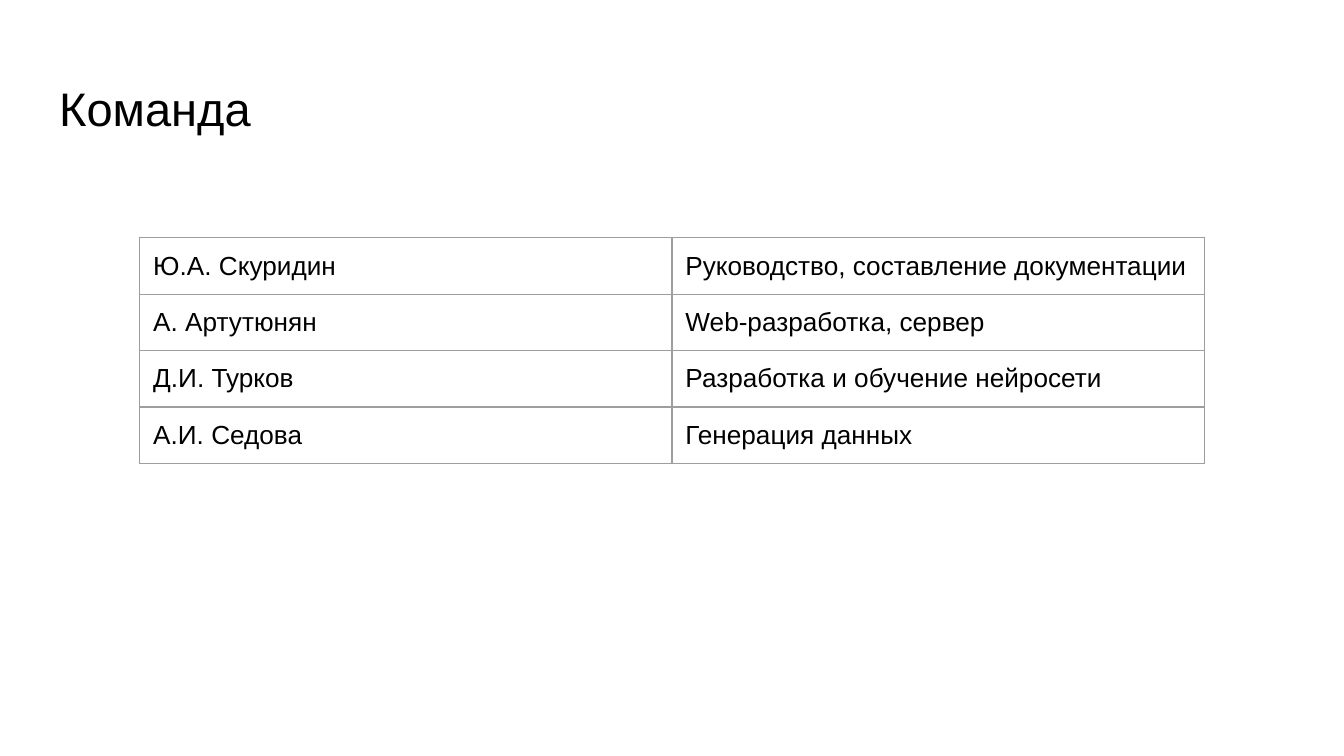
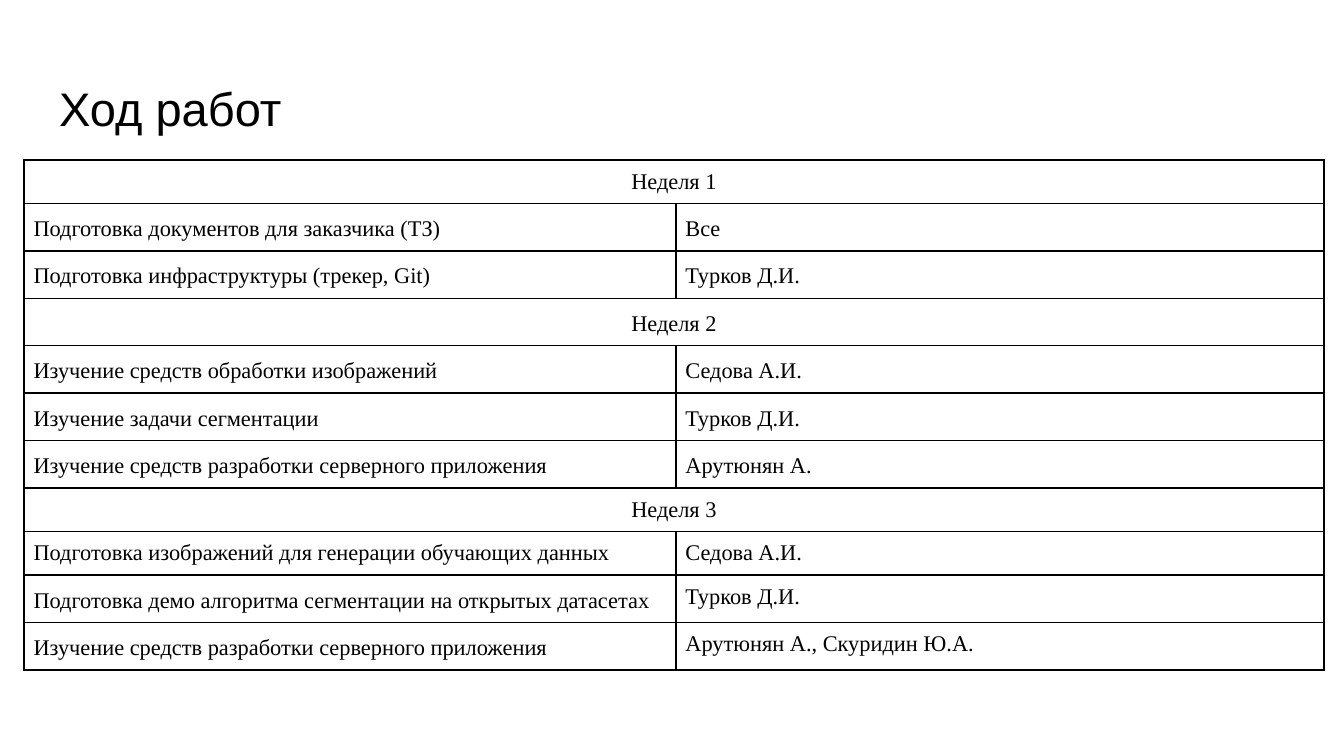
from lxml import etree
from pptx import Presentation
from pptx.dml.color import RGBColor
from pptx.enum.text import MSO_ANCHOR, MSO_AUTO_SIZE, PP_ALIGN
from pptx.oxml.ns import qn
from pptx.util import Inches, Pt

SLIDE_WIDTH = 10
SLIDE_HEIGHT = SLIDE_WIDTH * 9 / 16
BLACK, GREY = "000000", "9E9E9E"
SANS, SERIF = "Arial", "Times New Roman"
TITLE_BOX = (0.34, 0.49, 9.32, 0.63)

TEAM = [
    ("Ю.А. Скуридин", "Руководство, составление документации"),
    ("А. Артутюнян", "Web-разработка, сервер"),
    ("Д.И. Турков", "Разработка и обучение нейросети"),
    ("А.И. Седова", "Генерация данных"),
]

# Each row: its cells (a single cell spans the table) and their line spacings
SINGLE, LOOSE = 1.0, 1.15
PLAN = [
    (("Неделя 1",), (SINGLE,)),
    (("Подготовка документов для заказчика (ТЗ)", "Все"), (LOOSE, LOOSE)),
    (("Подготовка инфраструктуры (трекер, Git)", "Турков Д.И."), (LOOSE, LOOSE)),
    (("Неделя 2",), (LOOSE,)),
    (("Изучение средств обработки изображений", "Седова А.И."), (LOOSE, LOOSE)),
    (("Изучение задачи сегментации", "Турков Д.И."), (LOOSE, LOOSE)),
    (("Изучение средств разработки серверного приложения", "Арутюнян А."),
     (LOOSE, LOOSE)),
    (("Неделя 3",), (SINGLE,)),
    (("Подготовка изображений для генерации обучающих данных", "Седова А.И."),
     (SINGLE, SINGLE)),
    (("Подготовка демо алгоритма сегментации на открытых датасетах", "Турков Д.И."),
     (LOOSE, SINGLE)),
    (("Изучение средств разработки серверного приложения",
      "Арутюнян А., Скуридин Ю.А."), (LOOSE, SINGLE)),
]


def rgb(hex_color):
    return RGBColor.from_string(hex_color)


def set_margins(target, inches):
    target.margin_left = target.margin_right = Inches(inches)
    target.margin_top = target.margin_bottom = Inches(inches)


def write(p, text, font, size, color=BLACK):
    p.text = text
    for r in p.runs:
        r.font.name, r.font.size = font, Pt(size)
        r.font.color.rgb = rgb(color)


def add_titled_slide(prs, title):
    s = prs.slides.add_slide(prs.slide_layouts.get_by_name("Title Only"))
    sp = s.shapes.title
    sp.left, sp.top, sp.width, sp.height = map(Inches, TITLE_BOX)
    tf = sp.text_frame
    set_margins(tf, 0.1)
    tf.word_wrap = True
    tf.auto_size = MSO_AUTO_SIZE.NONE
    tf.vertical_anchor = MSO_ANCHOR.MIDDLE
    write(tf.paragraphs[0], title, SANS, 25.2)
    tf.paragraphs[0].alignment = PP_ALIGN.LEFT
    return s


def set_borders(cell, color, width):
    tc_pr = cell._tc.get_or_add_tcPr()
    for i, side in enumerate(("lnL", "lnR", "lnT", "lnB")):
        ln = etree.Element(qn(f"a:{side}"), w=str(Pt(width)))
        fill = etree.SubElement(ln, qn("a:solidFill"))
        etree.SubElement(fill, qn("a:srgbClr"), val=color)
        tc_pr.insert(i, ln)


def add_grid(s, left, top, widths, heights, margin, border):
    """Add an unfilled table whose cells all have the same margins and border."""
    frame = s.shapes.add_table(
        len(heights), len(widths), Inches(left), Inches(top),
        Inches(sum(widths)), Inches(sum(heights)))
    table = frame.table
    table.first_row = table.horz_banding = False
    for column, width in zip(table.columns, widths):
        column.width = Inches(width)
    for row, height in zip(table.rows, heights):
        row.height = Inches(height)
    for cell in table.iter_cells():
        cell.fill.background()
        set_margins(cell, margin)
        set_borders(cell, *border)
    return table


def build_team(prs):
    s = add_titled_slide(prs, "Команда")
    table = add_grid(s, 1.04, 1.77, [3.96] * 2, [0.42] * len(TEAM),
                     0.1, (GREY, 0.75))
    for row, texts in zip(table.rows, TEAM):
        for cell, text in zip(row.cells, texts):
            write(cell.text_frame.paragraphs[0], text, SANS, 14)


def build_plan(prs):
    s = add_titled_slide(prs, "Ход работ")
    heights = [0.35 if LOOSE in spacings else 0.32 for _, spacings in PLAN]
    table = add_grid(s, 0.18, 1.19, [4.85, 4.82], heights, 0.07, (BLACK, 1))
    for i, (texts, spacings) in enumerate(PLAN):
        is_week = len(texts) == 1
        if is_week:
            table.cell(i, 0).merge(table.cell(i, 1))
        for j, (text, spacing) in enumerate(zip(texts, spacings)):
            p = table.cell(i, j).text_frame.paragraphs[0]
            write(p, text, SERIF, 12)
            p.line_spacing = spacing
            p.alignment = PP_ALIGN.CENTER if is_week else PP_ALIGN.LEFT


def main():
    prs = Presentation()
    prs.slide_width = Inches(SLIDE_WIDTH)
    prs.slide_height = Inches(SLIDE_HEIGHT)
    build_team(prs)
    build_plan(prs)
    prs.save("out.pptx")


if __name__ == "__main__":
    main()
